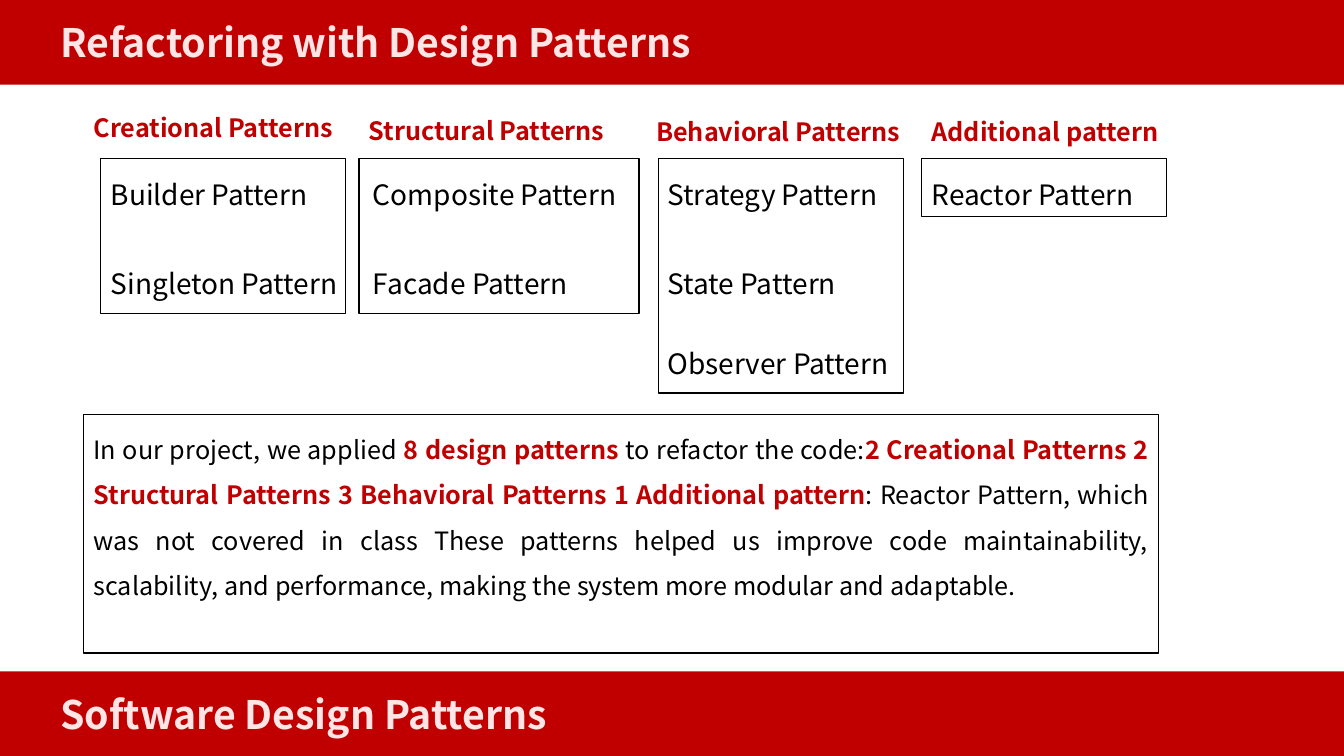
from pptx import Presentation
from pptx.dml.color import RGBColor
from pptx.enum.shapes import MSO_SHAPE as SHAPE
from pptx.enum.text import MSO_ANCHOR as ANCHOR, PP_ALIGN as ALIGN
from pptx.util import Inches, Pt

RED, BLACK, PINK = "C00000", "000000", "FFE5E5"
COLS, ROWS = 133.3, 75


def rgb(value):
    return RGBColor.from_string(value)


class Deck:
    font = "Noto Sans CJK SC"

    def __init__(self):
        self.prs = Presentation()
        self.prs.slide_width = Inches(13.33)
        self.prs.slide_height = Inches(7.5)
        self.s = self.prs.slides.add_slide(self.prs.slide_layouts[6])

    def place(self, col, row, cols, rows):
        w, h = self.prs.slide_width / COLS, self.prs.slide_height / ROWS
        return [round(n) for n in (col * w, row * h, cols * w, rows * h)]

    def box(self, *cells, fill=None, line=None):
        sp = self.s.shapes.add_shape(SHAPE.RECTANGLE, *self.place(*cells))
        sp.shadow.inherit = False
        if fill:
            sp.fill.solid()
            sp.fill.fore_color.rgb = rgb(fill)
        else:
            sp.fill.background()
        if line:
            sp.line.color.rgb = rgb(line)
            sp.line.width = Pt(1)
        else:
            sp.line.fill.background()
        return sp

    def add_text(self, sp, runs, size, align=ALIGN.LEFT, spacing=None):
        tf = sp.text_frame
        tf.word_wrap = True
        tf.vertical_anchor = ANCHOR.TOP
        p = tf.paragraphs[0]
        p.alignment = align
        if spacing:
            p.line_spacing = spacing
        for text, color, bold in runs:
            r = p.add_run()
            r.text = text
            r.font.name = self.font
            r.font.size = Pt(size)
            r.font.bold = bold
            r.font.color.rgb = rgb(color)

    def label(self, *cells, text, size, color, bold=False):
        sp = self.s.shapes.add_textbox(*self.place(*cells))
        self.add_text(sp, [(text, color, bold)], size)

    def band(self, row, title_row, title):
        self.box(0, row, COLS, 8.4, fill=RED)
        self.label(5, title_row, 67.7, 5.7, text=title, size=28, color=PINK, bold=True)

    def group(self, title, title_at, frame, item_col, item_cols, items):
        self.label(*title_at, 27.3, 4, text=title, size=18, color=RED, bold=True)
        col, cols, rows = frame
        self.box(col, 15.7, cols, rows, line=BLACK)
        for name, row in zip(items, (17.1, 25.9, 33.9)):
            self.label(item_col, row, item_cols, 4.4, text=name, size=20, color=BLACK)


def main():
    deck = Deck()
    deck.band(0, 1.3, "Refactoring with Design Patterns")
    deck.band(66.6, 68, "Software Design Patterns")

    groups = [
        ("Creational Patterns", (8.3, 10.7), (10, 24.3, 15.4), 10, 26,
         ["Builder Pattern", "Singleton Pattern"]),
        ("Structural Patterns", (35.6, 10.9), (35.6, 27.8, 15.4), 36, 27.5,
         ["Composite Pattern", "Facade Pattern"]),
        ("Behavioral Patterns", (64.1, 11), (65.3, 24.3, 23.3), 65.2, 25.5,
         ["Strategy Pattern", "State Pattern", "Observer Pattern"]),
        ("Additional pattern", (91.4, 11), (91.4, 24.3, 5.8), 91.4, 24.2,
         ["Reactor Pattern"]),
    ]
    for group in groups:
        deck.group(*group)

    summary = [
        ("In our project, we applied ", BLACK, False),
        ("8 design patterns", RED, True),
        (" to refactor the code:", BLACK, False),
        ("2 Creational Patterns 2 Structural Patterns 3 Behavioral Patterns "
         "1 Additional pattern", RED, True),
        (": Reactor Pattern, which was not covered in class These patterns helped us "
         "improve code maintainability, scalability, and performance, making the "
         "system more modular and adaptable.", BLACK, False),
    ]
    sp = deck.box(8.3, 41.1, 106.6, 23.7, line=BLACK)
    deck.add_text(sp, summary, 18, ALIGN.JUSTIFY, 1.5)

    deck.prs.save("out.pptx")


if __name__ == "__main__":
    main()
